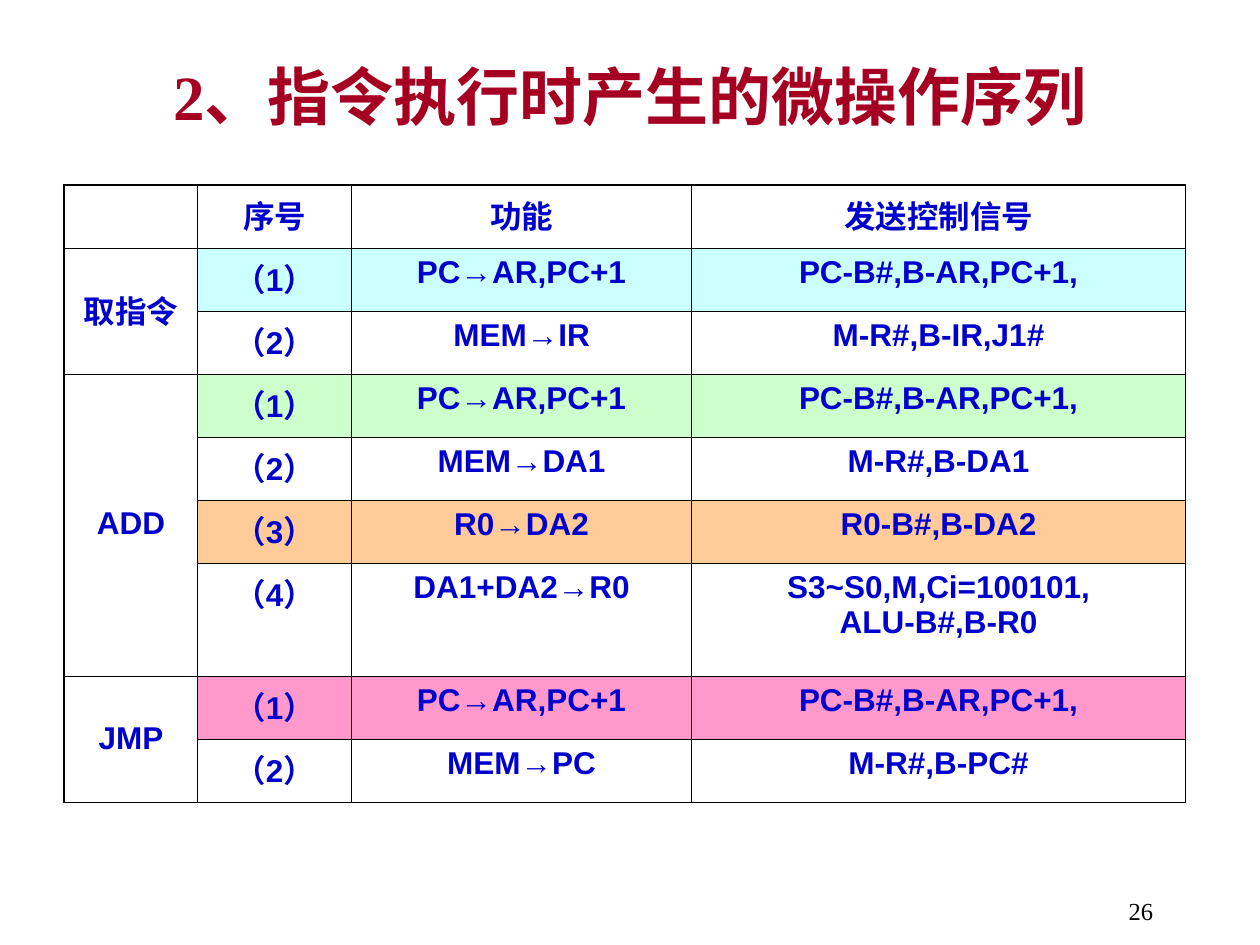
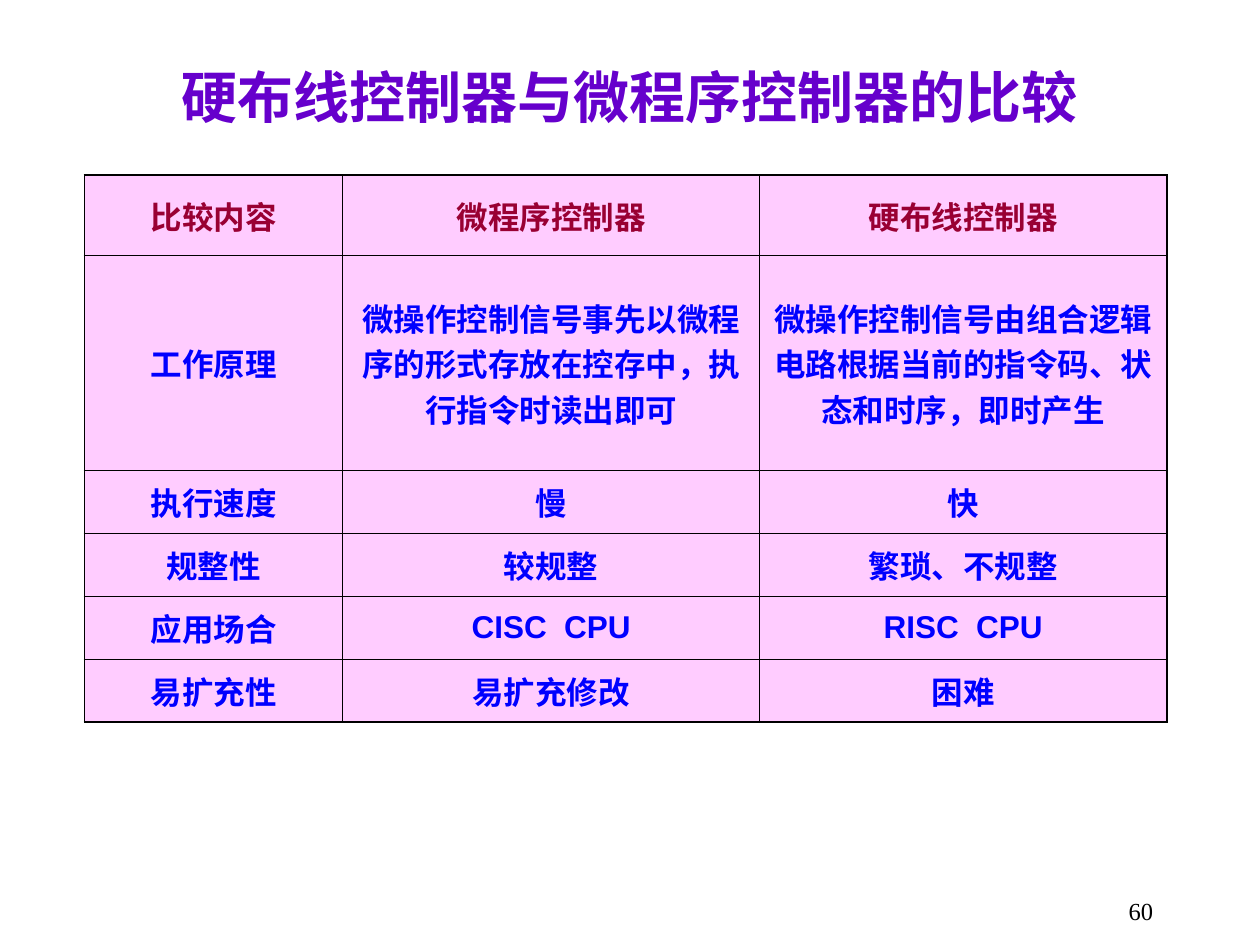
import pptx
import pptx.dml.color
import pptx.enum.text
import pptx.oxml
import pptx.oxml.ns
import pptx.util
from lxml import etree

Inches, Pt = pptx.util.Inches, pptx.util.Pt
RGBColor = pptx.dml.color.RGBColor
ALIGN, ANCHOR = pptx.enum.text.PP_ALIGN, pptx.enum.text.MSO_ANCHOR
qn = pptx.oxml.ns.qn

BLACK = RGBColor(0x00, 0x00, 0x00)
CRIMSON = RGBColor(0xA5, 0x00, 0x21)
MAROON = RGBColor(0x99, 0x00, 0x33)
PURPLE = RGBColor(0x66, 0x00, 0xCC)
NAVY = RGBColor(0x00, 0x00, 0xCC)
BLUE = RGBColor(0x00, 0x00, 0xFF)
CYAN = RGBColor(0xCC, 0xFF, 0xFF)
GREEN = RGBColor(0xCC, 0xFF, 0xCC)
ORANGE = RGBColor(0xFF, 0xCC, 0x99)
PINK = RGBColor(0xFF, 0x99, 0xCC)
LILAC = RGBColor(0xFF, 0xCC, 0xFF)

SERIF, SANS, CJK = "Times New Roman", "Arial", "Noto Sans CJK SC"
THIN, THICK = 0.45, 1.08

# (group, number of steps); the steps follow in the same order
GROUPS = [("取指令", 2), ("ADD", 4), ("JMP", 2)]
STEPS = [
    ("（1）", "PC→AR,PC+1", "PC-B#,B-AR,PC+1,", CYAN),
    ("（2）", "MEM→IR", "M-R#,B-IR,J1#", None),
    ("（1）", "PC→AR,PC+1", "PC-B#,B-AR,PC+1,", GREEN),
    ("（2）", "MEM→DA1", "M-R#,B-DA1", None),
    ("（3）", "R0→DA2", "R0-B#,B-DA2", ORANGE),
    ("（4）", "DA1+DA2→R0", "S3~S0,M,Ci=100101,\nALU-B#,B-R0", None),
    ("（1）", "PC→AR,PC+1", "PC-B#,B-AR,PC+1,", PINK),
    ("（2）", "MEM→PC", "M-R#,B-PC#", None),
]
COMPARISON = [
    ("比较内容", "微程序控制器", "硬布线控制器"),
    ("工作原理", "微操作控制信号事先以微程序的形式存放在控存中，执行指令时读出即可",
     "微操作控制信号由组合逻辑电路根据当前的指令码、状态和时序，即时产生"),
    ("执行速度", "慢", "快"),
    ("规整性", "较规整", "繁琐、不规整"),
    ("应用场合", "CISC  CPU", "RISC  CPU"),
    ("易扩充性", "易扩充修改", "困难"),
]


def write(tf, text, size, font, color, bold=True, align=ALIGN.CENTER):
    """Fill a text frame, one paragraph for each line of text."""
    for i, line in enumerate(text.split("\n")):
        p = tf.add_paragraph() if i else tf.paragraphs[0]
        p.alignment = align
        r = p.add_run()
        r.text = line
        r.font.size, r.font.bold, r.font.name = Pt(size), bold, font
        r.font.color.rgb = color
        ea = etree.SubElement(r._r.get_or_add_rPr(), qn("a:ea"))
        ea.set("typeface", CJK)


def place(sp, left, top, width, height):
    sp.left, sp.top = Inches(left), Inches(top)
    sp.width, sp.height = Inches(width), Inches(height)


def add_titled_slide(prs, title, size, font, color, number):
    slide = prs.slides.add_slide(prs.slide_layouts[5])
    sp = slide.shapes.title
    place(sp, 0.75, 0.36, 8.5, 0.8)
    tf = sp.text_frame
    tf.auto_size = pptx.enum.text.MSO_AUTO_SIZE.NONE
    tf.vertical_anchor = ANCHOR.MIDDLE
    write(tf, title, size, font, color)
    box = slide.shapes.add_textbox(Inches(7.17), Inches(7.06), Inches(2.08), Inches(0.28))
    box.text_frame.word_wrap = True
    write(box.text_frame, number, 14, SERIF, BLACK, bold=False, align=ALIGN.RIGHT)
    return slide


def set_borders(cell, widths):
    """Draw black cell sides; widths are left, right, top, bottom in points."""
    tcPr = cell._tc.get_or_add_tcPr()
    for side, width in zip("LRTB", widths):
        ln = etree.SubElement(tcPr, qn("a:ln" + side), w=str(Pt(width)))
        fill = etree.SubElement(ln, qn("a:solidFill"))
        etree.SubElement(fill, qn("a:srgbClr"), val=str(BLACK))


def add_grid(slide, left, top, col_widths, row_heights):
    """Add an empty table with thin inner lines and a thick outer frame."""
    n_rows, n_cols = len(row_heights), len(col_widths)
    table = slide.shapes.add_table(
        n_rows, n_cols, Inches(left), Inches(top),
        Inches(sum(col_widths)), Inches(sum(row_heights))).table
    table.first_row = table.horz_banding = False
    for col, width in zip(table.columns, col_widths):
        col.width = Inches(width)
    for row, height in zip(table.rows, row_heights):
        row.height = Inches(height)
    for i in range(n_rows):
        for j in range(n_cols):
            outer = (j == 0, j == n_cols - 1, i == 0, i == n_rows - 1)
            cell = table.cell(i, j)
            set_borders(cell, [THICK if edge else THIN for edge in outer])
            cell.fill.background()
    return table


def fill_cell(cell, text, color, fill=None, anchor=ANCHOR.TOP):
    cell.vertical_anchor = anchor
    if fill is not None:
        cell.fill.solid()
        cell.fill.fore_color.rgb = fill
    write(cell.text_frame, text, 18, SANS, color)


def add_micro_operations(slide):
    heights = [0.5] * 6 + [0.9] + [0.5] * 2
    table = add_grid(slide, 0.51, 1.47, [1.06, 1.22, 2.7, 3.92], heights)
    for j, heading in enumerate(["序号", "功能", "发送控制信号"], 1):
        fill_cell(table.cell(0, j), heading, NAVY)
    for i, (*texts, fill) in enumerate(STEPS, 1):
        for j, text in enumerate(texts, 1):
            fill_cell(table.cell(i, j), text, NAVY, fill)
    row = 1
    for group, steps in GROUPS:
        cell = table.cell(row, 0)
        cell.merge(table.cell(row + steps - 1, 0))
        fill_cell(cell, group, NAVY, anchor=ANCHOR.MIDDLE)
        p = cell.text_frame.paragraphs[0]
        p.line_spacing, p.space_after = 0.9, Pt(4.5)
        row += steps


def add_comparison(slide):
    table = add_grid(slide, 0.67, 1.39, [2.05, 3.31, 3.23], [0.64, 1.7] + [0.5] * 4)
    for i, texts in enumerate(COMPARISON):
        for j, text in enumerate(texts):
            fill_cell(table.cell(i, j), text, BLUE if i else MAROON, LILAC, ANCHOR.MIDDLE)


def main():
    prs = pptx.Presentation()
    prs.slide_width, prs.slide_height = Inches(10), Inches(7.5)
    add_micro_operations(add_titled_slide(
        prs, "2、指令执行时产生的微操作序列", 36, SERIF, CRIMSON, "26"))
    add_comparison(add_titled_slide(
        prs, "硬布线控制器与微程序控制器的比较", 32, CJK, PURPLE, "60"))
    prs.save("out.pptx")


if __name__ == "__main__":
    main()
